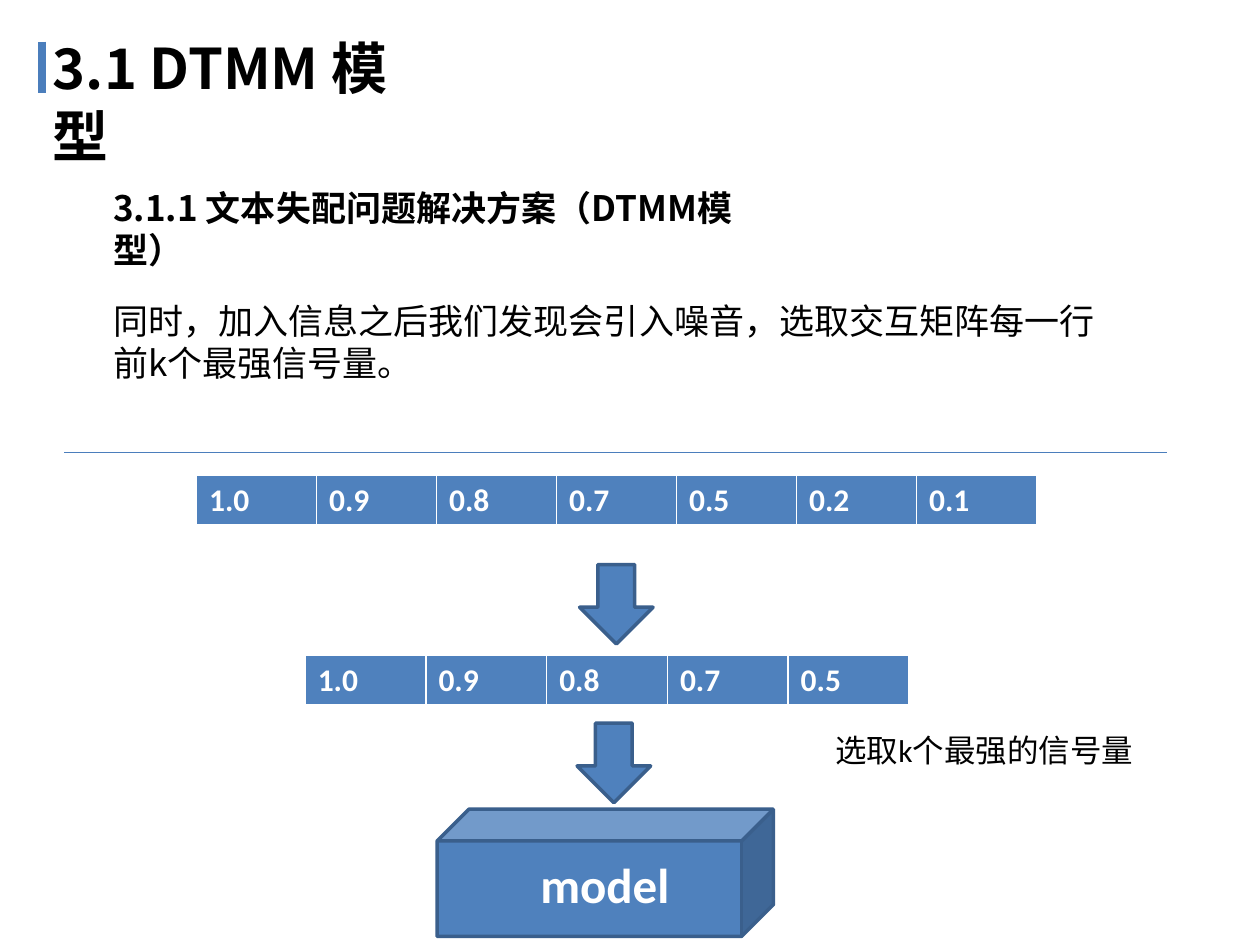
from lxml.etree import SubElement
from pptx import Presentation
from pptx.dml.color import RGBColor
from pptx.enum.shapes import MSO_CONNECTOR, MSO_SHAPE
from pptx.enum.text import MSO_ANCHOR, MSO_AUTO_SIZE, PP_ALIGN
from pptx.oxml.ns import qn
from pptx.util import Pt


def color(value):
    return RGBColor.from_string(value)


def write(frame, text, size=18, font="Calibri", ink="000000", bold=False):
    paragraph = frame.paragraphs[0]
    paragraph.alignment = PP_ALIGN.LEFT
    run = paragraph.add_run()
    run.text = text
    run.font.size = Pt(size)
    run.font.name = font
    run.font.bold = bold
    run.font.color.rgb = color(ink)
    east_asian = SubElement(run._r.get_or_add_rPr(), qn("a:ea"))
    east_asian.set("typeface", "Noto Sans CJK SC")


class SlideBuilder:
    blue = "4F81BD"
    outline = "3A5F8C"
    rule_blue = "4B7EBC"
    white = "FFFFFF"
    cjk = "Noto Sans CJK SC"

    def __init__(self, slide):
        self.slide = slide

    def fit(self, frame):
        frame.word_wrap = True
        frame.auto_size = MSO_AUTO_SIZE.SHAPE_TO_FIT_TEXT
        frame.vertical_anchor = MSO_ANCHOR.TOP

    def title(self, text, left, top, width, height):
        heading = self.slide.shapes.title
        heading.left, heading.top = Pt(left), Pt(top)
        heading.width, heading.height = Pt(width), Pt(height)
        self.fit(heading.text_frame)
        write(heading.text_frame, text, size=32, font=self.cjk, bold=True)

    def text(self, text, left, top, width, height, parent=None, **style):
        shapes = (parent or self.slide).shapes
        box = shapes.add_textbox(Pt(left), Pt(top), Pt(width), Pt(height))
        self.fit(box.text_frame)
        write(box.text_frame, text, **style)

    def line(self, x1, y1, x2, y2, weight):
        rule = self.slide.shapes.add_connector(
            MSO_CONNECTOR.STRAIGHT, Pt(x1), Pt(y1), Pt(x2), Pt(y2))
        rule.line.color.rgb = color(self.rule_blue)
        rule.line.width = Pt(weight)
        SubElement(rule._element.spPr, qn("a:effectLst"))

    def shape(self, preset, left, top, width, height, parent=None):
        shapes = (parent or self.slide).shapes
        block = shapes.add_shape(preset, Pt(left), Pt(top), Pt(width), Pt(height))
        block.shadow.inherit = False
        block.fill.solid()
        block.fill.fore_color.rgb = color(self.blue)
        block.line.color.rgb = color(self.outline)
        block.line.width = Pt(2)

    def borders(self, cell):
        properties = cell._tc.get_or_add_tcPr()
        for side, weight in (("L", 1), ("R", 1), ("T", 1), ("B", 3)):
            edge = SubElement(properties, qn(f"a:ln{side}"), w=str(Pt(weight)))
            fill = SubElement(edge, qn("a:solidFill"))
            SubElement(fill, qn("a:srgbClr"), val=self.white)

    def signal_row(self, values, left, top, width, height):
        signals = self.slide.shapes.add_table(
            1, len(values), Pt(left), Pt(top), Pt(width), Pt(height)).table
        for column, cell, value in zip(signals.columns, signals.rows[0].cells, values):
            column.width = Pt(width / len(values))
            self.borders(cell)
            cell.fill.solid()
            cell.fill.fore_color.rgb = color(self.blue)
            write(cell.text_frame, value, ink=self.white, bold=True)

    def model(self, text):
        group = self.slide.shapes.add_group_shape()
        self.shape(MSO_SHAPE.CUBE, 249.8, 462.4, 192.2, 72.7, parent=group)
        self.text(text, 301.7, 484.6, 107.3, 41, parent=group,
                  size=28, ink=self.white, bold=True)


def main():
    presentation = Presentation()
    presentation.slide_width, presentation.slide_height = Pt(720), Pt(540)
    page = SlideBuilder(presentation.slides.add_slide(presentation.slide_layouts[5]))

    page.title("3.1 DTMM 模型", 23, 15.8, 226, 46)
    page.text("3.1.1 文本失配问题解决方案（DTMM模型）", 57.6, 103, 401, 31.7,
              size=20, font=page.cjk, bold=True)
    page.text("同时，加入信息之后我们发现会引入噪音，选取交互矩阵每一行前k个最强信号量。",
              57.6, 167.8, 589.7, 55.4, size=20, font=page.cjk)
    page.line(36.7, 258.5, 666.7, 258.5, 0.75)

    strengths = ["1.0", "0.9", "0.8", "0.7", "0.5", "0.2", "0.1"]
    strongest = strengths[:5]
    page.signal_row(strengths, 112.3, 271.4, 480, 29.2)
    page.shape(MSO_SHAPE.DOWN_ARROW, 331.2, 322.6, 42, 45.4)
    page.signal_row(strongest, 174.4, 374.4, 345, 29.2)
    page.shape(MSO_SHAPE.DOWN_ARROW, 329.8, 413.3, 42, 45.4)
    page.model("model")
    page.text("选取k个最强的信号量", 470.2, 414, 195.8, 28.8)
    page.line(23.8, 23.8, 23.8, 53.3, 4.5)

    presentation.save("out.pptx")


if __name__ == "__main__":
    main()
